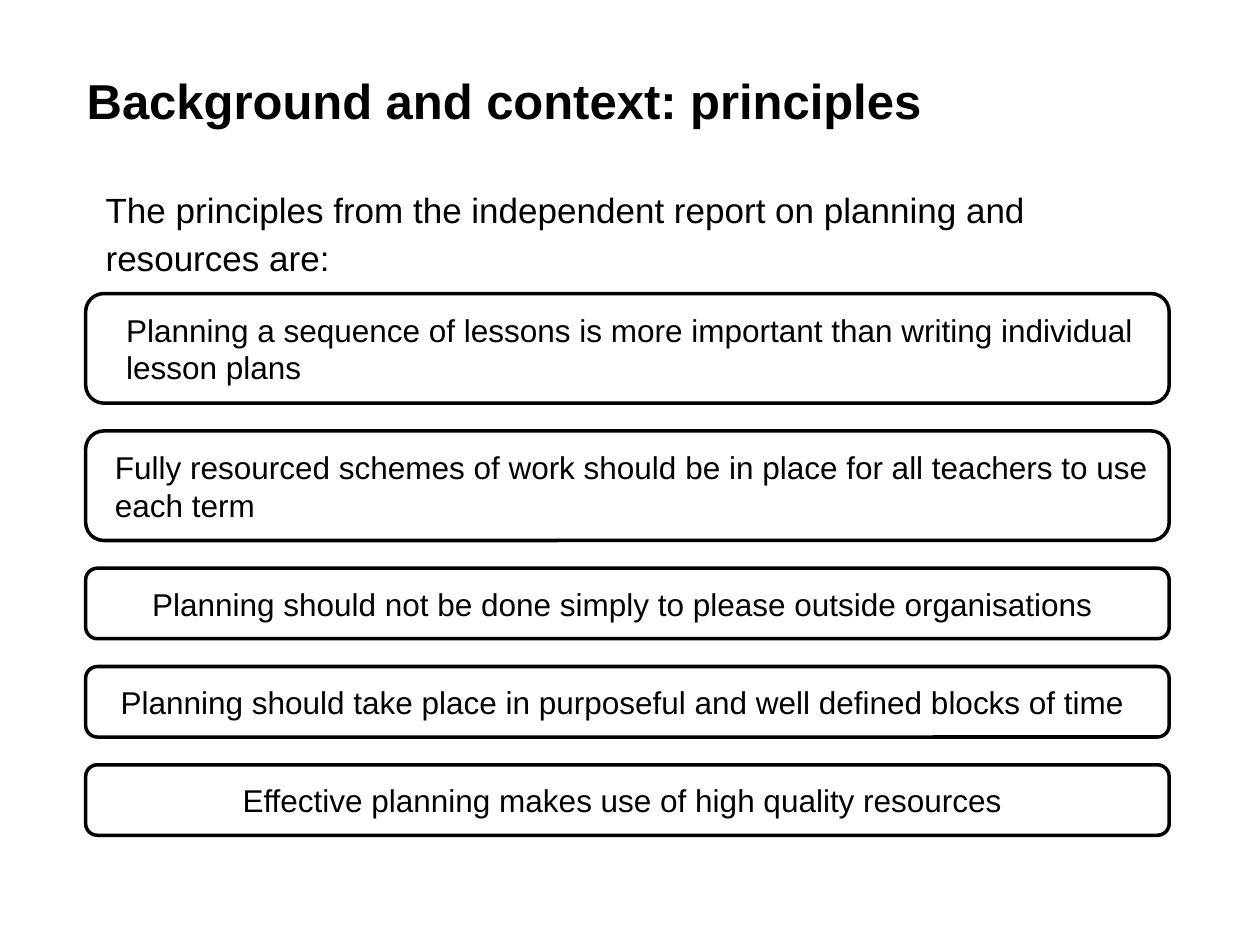
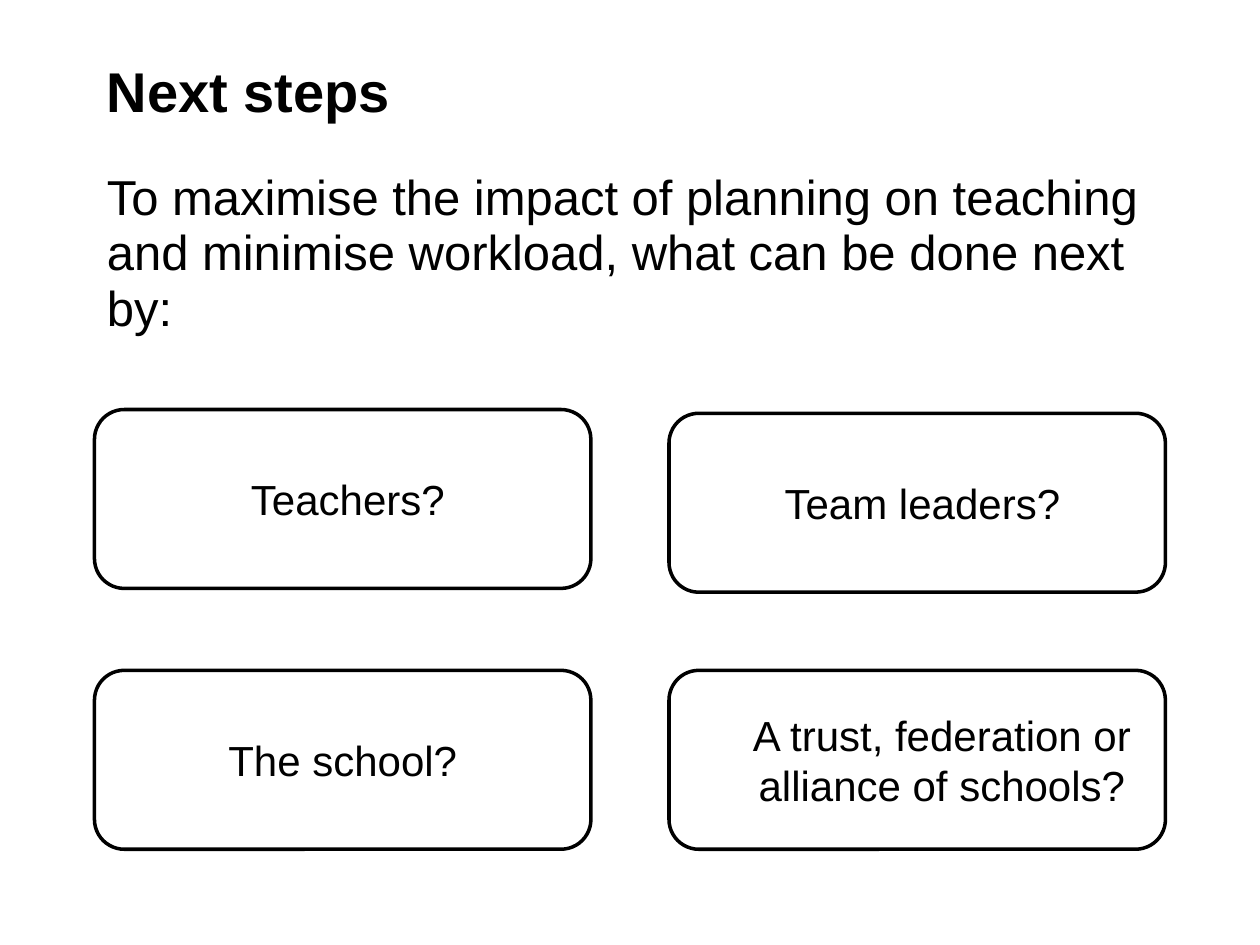
from dataclasses import dataclass

import pptx
import pptx.dml.color
import pptx.enum.shapes
import pptx.enum.text
import pptx.util

Inches = pptx.util.Inches
Align = pptx.enum.text.PP_ALIGN
Anchor = pptx.enum.text.MSO_ANCHOR

FONT = "Arial"
INK = "000000"
PAPER = "FFFFFF"
INSET = 0.1
TEXT_WIDTH = 8.5
TITLE_HEIGHT = 0.71

PRINCIPLE_LEFT, PRINCIPLE_TOP, PRINCIPLE_WIDTH = 0.68, 2.33, 8.6
PRINCIPLE_GAP = 0.22
ONE_LINE, TWO_LINES = 0.56, 0.87

GROUP_WIDTH, GROUP_HEIGHT = 3.94, 1.42
GROUP_COLUMNS = (0.75, 5.31)


@dataclass(frozen=True)
class TextStyle:
    size: float
    bold: bool = False
    align: Align = Align.LEFT
    anchor: Anchor = Anchor.MIDDLE
    line_spacing: float = 1.0


@dataclass(frozen=True)
class Principle:
    text: str
    height: float = ONE_LINE
    align: Align = Align.CENTER
    left_inset: float = INSET
    right_inset: float = 0.18


@dataclass(frozen=True)
class Group:
    text: str
    column: int
    top: float
    indent: float = 0.0


PRINCIPLES = (
    Principle("Planning a sequence of lessons is more important than writing individual lesson plans",
              TWO_LINES, Align.LEFT, 0.28, INSET),
    Principle("Fully resourced schemes of work should be in place for all teachers to use each term",
              TWO_LINES, Align.LEFT, 0.19, INSET),
    Principle("Planning should not be done simply to please outside organisations"),
    Principle("Planning should take place in purposeful and well defined blocks of time"),
    Principle("Effective planning makes use of high quality resources"),
)

GROUPS = (
    Group("Teachers?", 0, 3.25, 0.08),
    Group("Team leaders?", 1, 3.28, 0.08),
    Group("The school?", 0, 5.32),
    Group("A trust, federation or alliance of schools?", 1, 5.32, 0.39),
)


def colour(value: str) -> pptx.dml.color.RGBColor:
    return pptx.dml.color.RGBColor.from_string(value)


def write(shape, text: str, style: TextStyle,
          left_inset: float = INSET, right_inset: float = INSET) -> None:
    frame = shape.text_frame
    frame.word_wrap = True
    frame.vertical_anchor = style.anchor
    frame.margin_left, frame.margin_right = Inches(left_inset), Inches(right_inset)
    paragraph = frame.paragraphs[0]
    paragraph.text = text
    paragraph.alignment = style.align
    paragraph.line_spacing = style.line_spacing
    paragraph.font.name = FONT
    paragraph.font.size = pptx.util.Pt(style.size)
    paragraph.font.bold = style.bold
    paragraph.font.color.rgb = colour(INK)


def add_text(slide, left: float, top: float, height: float, text: str, style: TextStyle) -> None:
    box = slide.shapes.add_textbox(Inches(left), Inches(top), Inches(TEXT_WIDTH), Inches(height))
    write(box, text, style)


def add_title(slide, left: float, top: float, text: str, size: float) -> None:
    add_text(slide, left, top, TITLE_HEIGHT, text, TextStyle(size, bold=True))


def add_panel(slide, left: float, top: float, width: float, height: float):
    panel = slide.shapes.add_shape(
        pptx.enum.shapes.MSO_SHAPE.ROUNDED_RECTANGLE,
        Inches(left), Inches(top), Inches(width), Inches(height))
    panel.shadow.inherit = False
    panel.fill.background()
    panel.line.color.rgb = colour(INK)
    panel.line.width = pptx.util.Pt(2)
    return panel


def add_slide(presentation):
    slide = presentation.slides.add_slide(presentation.slide_layouts[6])
    slide.background.fill.solid()
    slide.background.fill.fore_color.rgb = colour(PAPER)
    return slide


def build_principles(presentation) -> None:
    slide = add_slide(presentation)
    add_title(slide, 0.59, 0.44, "Background and context: principles", 28)
    add_text(slide, 0.74, 1.4, 0.94,
             "The principles from the independent report on planning and resources are:",
             TextStyle(20, anchor=Anchor.TOP, line_spacing=1.14))
    top = PRINCIPLE_TOP
    for principle in PRINCIPLES:
        panel = add_panel(slide, PRINCIPLE_LEFT, top, PRINCIPLE_WIDTH, principle.height)
        write(panel, principle.text, TextStyle(18, align=principle.align),
              principle.left_inset, principle.right_inset)
        top += principle.height + PRINCIPLE_GAP


def build_next_steps(presentation) -> None:
    slide = add_slide(presentation)
    add_title(slide, 0.75, 0.36, "Next steps", 32)
    add_text(slide, 0.75, 1.31, 1.57,
             "To maximise the impact of planning on teaching and minimise workload, "
             "what can be done next by:",
             TextStyle(28, anchor=Anchor.TOP, line_spacing=0.94))
    for group in GROUPS:
        panel = add_panel(slide, GROUP_COLUMNS[group.column], group.top, GROUP_WIDTH, GROUP_HEIGHT)
        write(panel, group.text, TextStyle(24, align=Align.CENTER), INSET + group.indent)


def main() -> None:
    presentation = pptx.Presentation()
    presentation.slide_width = Inches(10)
    presentation.slide_height = Inches(7.5)
    build_principles(presentation)
    build_next_steps(presentation)
    presentation.save("out.pptx")


if __name__ == "__main__":
    main()
